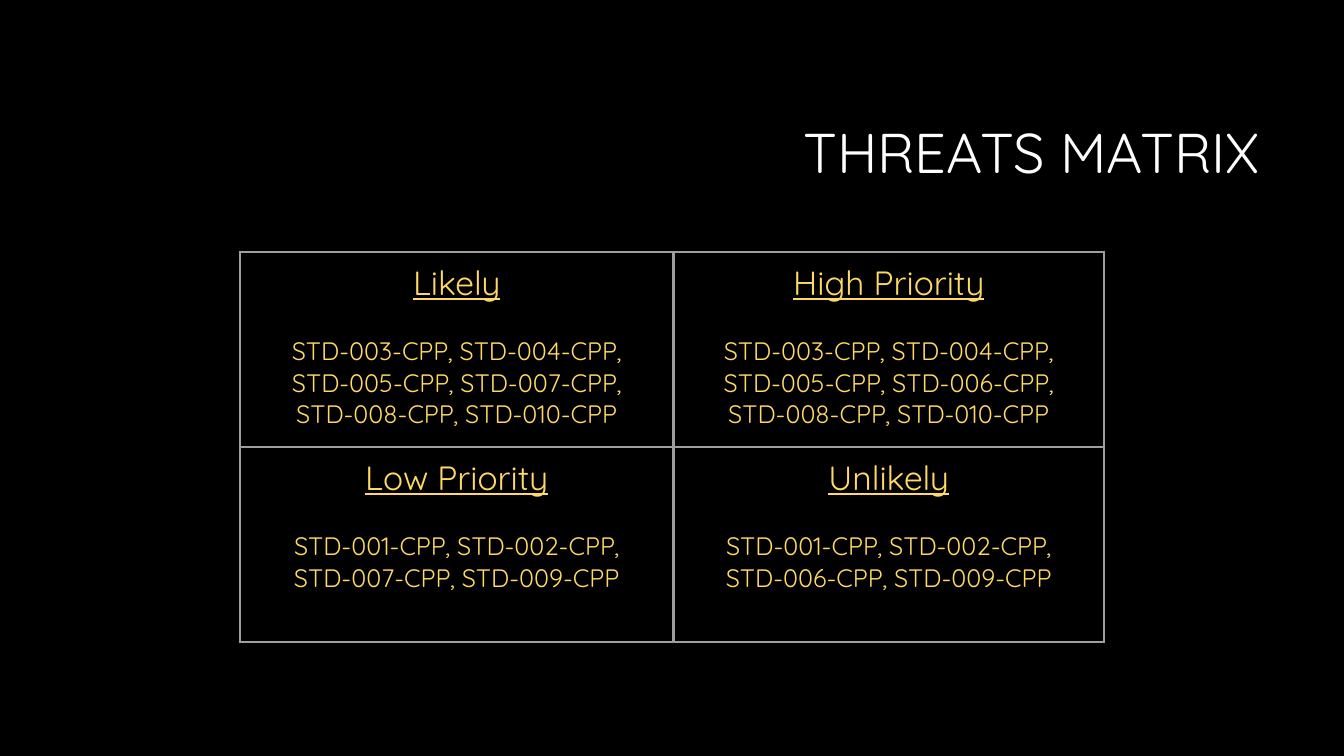
"""Build the threats matrix slide."""
from lxml import etree
from pptx import Presentation
from pptx import util as u
from pptx.dml.color import RGBColor
from pptx.enum import text
from pptx.oxml import ns

COLORS = {"page": "000000", "title": "FFFFFF", "matrix": "FFD966", "border": "9E9E9E"}
FONT = "Quicksand"
BORDER_WIDTH = u.Pt(2.25)
COLUMN_WIDTHS = [4.3, 4.27]
THREATS = [
    [
        ("Likely", ["STD-003-CPP, STD-004-CPP,", "STD-005-CPP, STD-007-CPP,",
                    "STD-008-CPP, STD-010-CPP"]),
        ("High Priority", ["STD-003-CPP, STD-004-CPP,", "STD-005-CPP, STD-006-CPP,",
                           "STD-008-CPP, STD-010-CPP"]),
    ],
    [
        ("Low Priority", ["STD-001-CPP, STD-002-CPP,", "STD-007-CPP, STD-009-CPP"]),
        ("Unlikely", ["STD-001-CPP, STD-002-CPP,", "STD-006-CPP, STD-009-CPP"]),
    ],
]


def add_span(para, words, size, color, underline=False):
    """Add one styled run to a paragraph."""
    span = para.add_run()
    span.text = words
    span.font.name = FONT
    span.font.size = u.Pt(size)
    span.font.underline = underline
    span.font.color.rgb = RGBColor.from_string(COLORS[color])


def add_title(page, left, top, width, height):
    """Place the right-aligned title in its box."""
    box = page.shapes.add_textbox(*map(u.Inches, (left, top, width, height)))
    frame = box.text_frame
    frame.word_wrap = True
    frame.vertical_anchor = text.MSO_ANCHOR.MIDDLE
    para = frame.paragraphs[0]
    para.alignment = text.PP_ALIGN.RIGHT
    para.line_spacing = 0.9
    add_span(para, "THREATS MATRIX", 40, "title")


def add_borders(cell):
    """Draw a solid line on all four sides of a cell."""
    properties = cell._tc.get_or_add_tcPr()
    for side in ("L", "R", "T", "B"):
        line = etree.SubElement(properties, ns.qn(f"a:ln{side}"), w=str(BORDER_WIDTH))
        fill = etree.SubElement(line, ns.qn("a:solidFill"))
        etree.SubElement(fill, ns.qn("a:srgbClr"), val=COLORS["border"])


def fill_cell(cell, heading, lines):
    """Write an underlined heading and its list of standards into a cell."""
    cell.margin_left = cell.margin_right = u.Inches(0.1)
    cell.margin_top = cell.margin_bottom = u.Inches(0.1)
    add_borders(cell)
    cell.fill.background()
    para = cell.text_frame.paragraphs[0]
    para.alignment = text.PP_ALIGN.CENTER
    para.space_after = u.Pt(22.5)
    add_span(para, heading, 24, "matrix", underline=True)
    for line in lines:
        para = cell.text_frame.add_paragraph()
        para.alignment = text.PP_ALIGN.CENTER
        add_span(para, line, 18, "matrix")


def add_matrix(page, left, top, width, height):
    """Place the two-by-two threats table in its box."""
    frame = page.shapes.add_table(
        len(THREATS), len(COLUMN_WIDTHS), *map(u.Inches, (left, top, width, height)))
    table = frame.table
    table.first_row = table.horz_banding = False
    for column, column_width in zip(table.columns, COLUMN_WIDTHS):
        column.width = u.Inches(column_width)
    for row, threats in zip(table.rows, THREATS):
        for cell, (heading, lines) in zip(row.cells, threats):
            fill_cell(cell, heading, lines)


def main():
    """Create the deck and save it."""
    deck = Presentation()
    deck.slide_width, deck.slide_height = u.Inches(13.33), u.Inches(7.5)
    page = deck.slides.add_slide(deck.slide_layouts[6])
    page.background.fill.solid()
    page.background.fill.fore_color.rgb = RGBColor.from_string(COLORS["page"])
    add_title(page, 3.17, 0.84, 9.42, 1.41)
    add_matrix(page, 2.38, 2.5, sum(COLUMN_WIDTHS), 3.87)
    deck.save("out.pptx")


if __name__ == "__main__":
    main()
